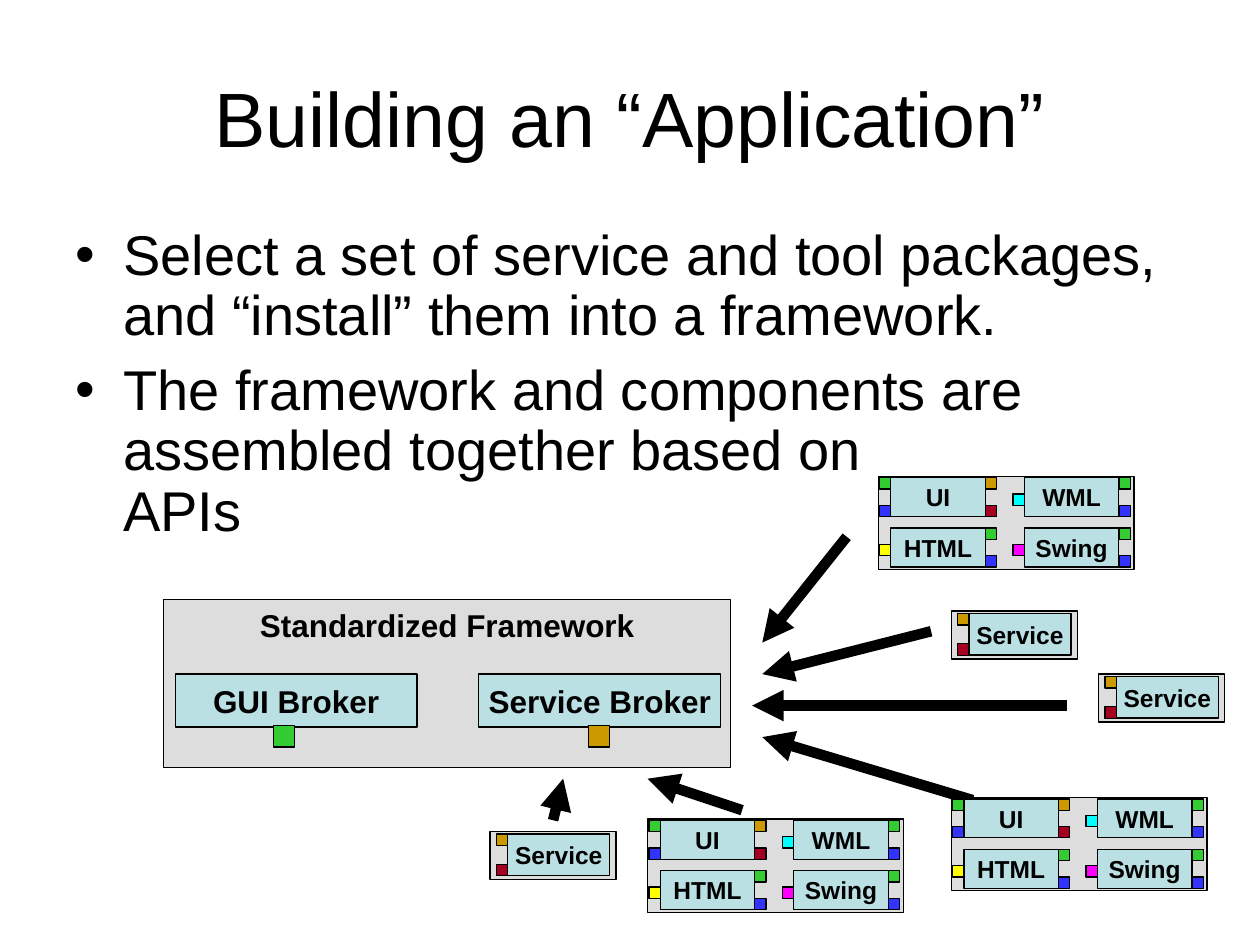
from lxml.etree import SubElement
from pptx import Presentation
from pptx.dml.color import RGBColor
from pptx.enum.shapes import MSO_CONNECTOR, MSO_SHAPE
from pptx.enum.text import MSO_ANCHOR as ANCHOR, PP_ALIGN as ALIGN
from pptx.oxml.ns import qn
from pptx.util import Inches, Pt

rgb = RGBColor.from_string
BLACK, GRAY, PALE_BLUE = "000000", "DDDDDD", "BBE0E3"
GREEN, BLUE, GOLD, RED = "33CC33", "3333FF", "CC9900", "A50021"
CYAN, MAGENTA, YELLOW = "00FFFF", "FF00FF", "FFFF00"
PORT = 0.09


def write_text(shape, lines, size, bold=False, wrap=False,
               anchor=ANCHOR.MIDDLE, align=ALIGN.CENTER):
    frame = shape.text_frame
    frame.text = "\n".join(lines)
    for name, value in {"word_wrap": wrap, "vertical_anchor": anchor}.items():
        setattr(frame, name, value)
    for paragraph in frame.paragraphs:
        paragraph.alignment = align
        for run in paragraph.runs:
            font_format = {"name": "Arial", "size": Pt(size), "bold": bold}
            for name, value in font_format.items():
                setattr(run.font, name, value)
            run.font.color.rgb = rgb(BLACK)


def add_box(shapes, left, top, width, height, fill, label=None, size=14,
            anchor=ANCHOR.MIDDLE):
    box = shapes.add_shape(MSO_SHAPE.RECTANGLE, Inches(left), Inches(top),
                           Inches(width), Inches(height))
    box.shadow.inherit = False
    box.fill.solid()
    box.fill.fore_color.rgb = rgb(fill)
    box.line.color.rgb = rgb(BLACK)
    box.line.width = Pt(0.75)
    if label:
        write_text(box, [label], size, bold=True, anchor=anchor)


presentation = Presentation()
presentation.slide_width = Inches(10)
presentation.slide_height = Inches(7.5)
slide = presentation.slides.add_slide(presentation.slide_layouts[6])
shapes = slide.shapes

# Title and bullets
title = shapes.add_textbox(Inches(0.5), Inches(0.3), Inches(9), Inches(1.25))
write_text(title, ["Building an “Application”"], 44, wrap=True)

body = shapes.add_textbox(Inches(0.5), Inches(1.75), Inches(9), Inches(2.75))
write_text(body, [
    "Select a set of service and tool packages, and “install” them into a framework.",
    "The framework and components are assembled together based on \vAPIs",
], 32, wrap=True, anchor=ANCHOR.TOP, align=ALIGN.LEFT)
for index, paragraph in enumerate(body.text_frame.paragraphs):
    properties = paragraph._p.get_or_add_pPr()
    properties.set("marL", str(Inches(0.38)))
    properties.set("indent", str(Inches(-0.38)))
    SubElement(properties, qn("a:buFont"), typeface="Arial")
    SubElement(properties, qn("a:buChar"), char="•")
    paragraph.line_spacing = 0.9
    paragraph.space_before = Pt(8 if index else 0)

# Arrows into the framework
arrows = [
    (6.72, 4.26, 6.05, 5.1),
    (7.39, 5.01, 6.05, 5.35),
    (8.47, 5.6, 5.97, 5.6),
    (4.39, 6.51, 4.47, 6.18),
    (7.72, 6.35, 6.05, 5.85),
    (5.89, 6.43, 5.14, 6.18),
]
for ends in arrows:
    arrow = shapes.add_connector(MSO_CONNECTOR.STRAIGHT, *map(Inches, ends))
    arrow.line.color.rgb = rgb(BLACK)
    arrow.line.width = Pt(6)
    SubElement(arrow.line._get_or_add_ln(), qn("a:tailEnd"), type="triangle")
    SubElement(arrow._element.spPr, qn("a:effectLst"))

# Framework with its two brokers
add_box(shapes, 1.3, 4.76, 4.5, 1.33, GRAY, "Standardized Framework", 18, ANCHOR.TOP)
brokers = [("GUI Broker", 1.39, 2.17, GREEN), ("Service Broker", 3.8, 4.67, GOLD)]
for label, left, port_left, color in brokers:
    add_box(shapes, left, 5.35, 1.92, 0.42, PALE_BLUE, label, 18)
    add_box(shapes, port_left, 5.76, 0.17, 0.17, color)

# Service packages
for left, top in [(7.55, 4.85), (8.72, 5.35), (3.89, 6.6)]:
    group = shapes.add_group_shape().shapes
    add_box(group, left, top, 1, 0.38, GRAY)
    add_box(group, left + 0.14, top + 0.02, 0.81, 0.33, PALE_BLUE, "Service")
    for offset, color in [(0.02, GOLD), (0.26, RED)]:
        add_box(group, left + 0.05, top + offset, PORT, PORT, color)

# Tool packages: label, column, row, left ports and right ports as (offset, color)
UPPER, MIDDLE, LOWER = 0, 0.13, 0.22
tools = [
    ("UI", 0, 0, [(UPPER, GREEN), (LOWER, BLUE)], [(UPPER, GOLD), (LOWER, RED)]),
    ("WML", 1, 0, [(MIDDLE, CYAN)], [(UPPER, GREEN), (LOWER, BLUE)]),
    ("HTML", 0, 1, [(MIDDLE, YELLOW)], [(UPPER, GREEN), (LOWER, BLUE)]),
    ("Swing", 1, 1, [(MIDDLE, MAGENTA)], [(UPPER, GREEN), (LOWER, BLUE)]),
]
for left, top in [(6.97, 3.78), (7.55, 6.33), (5.14, 6.5)]:
    group = shapes.add_group_shape().shapes
    add_box(group, left, top, 2.03, 0.74, GRAY)
    for label, column, row, left_ports, right_ports in tools:
        tool_left = left + 0.1 + 1.06 * column
        tool_top = top + 0.01 + 0.4 * row
        add_box(group, tool_left, tool_top, 0.75, 0.31, PALE_BLUE, label)
        for port_left, ports in [(tool_left - PORT, left_ports),
                                 (tool_left + 0.75, right_ports)]:
            for offset, color in ports:
                add_box(group, port_left, tool_top + offset, PORT, PORT, color)

presentation.save("out.pptx")
